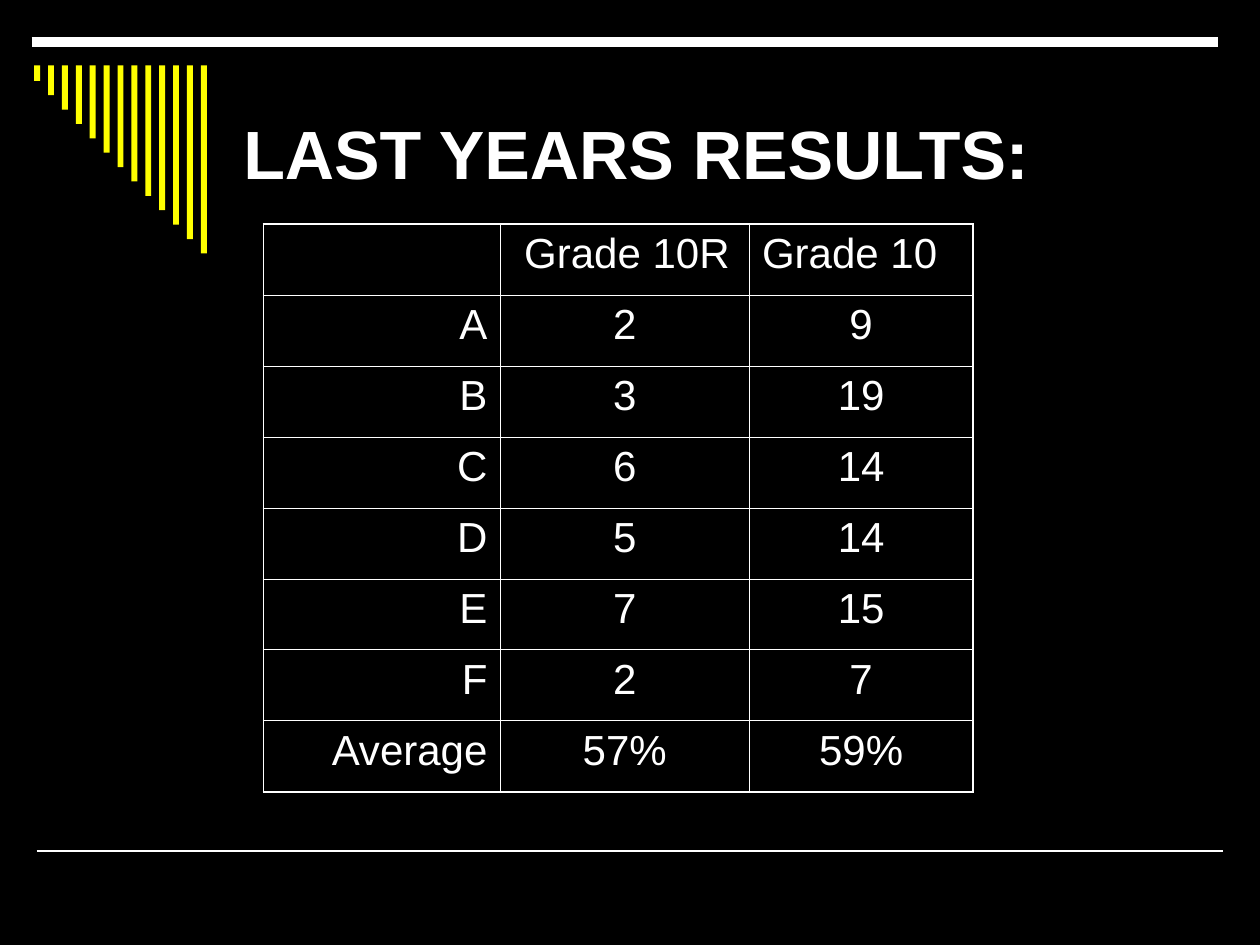
from lxml import etree
from pptx import Presentation
from pptx.dml.color import RGBColor
from pptx.enum.shapes import MSO_CONNECTOR, MSO_SHAPE
from pptx.enum.text import MSO_ANCHOR, MSO_AUTO_SIZE, PP_ALIGN
from pptx.oxml.ns import qn
from pptx.util import Cm, Pt

LINE = MSO_CONNECTOR.STRAIGHT
RECT = MSO_SHAPE.RECTANGLE
MIDDLE = MSO_ANCHOR.MIDDLE
FIXED = MSO_AUTO_SIZE.NONE
LEFT, CENTER, RIGHT = PP_ALIGN.LEFT, PP_ALIGN.CENTER, PP_ALIGN.RIGHT

BLACK, WHITE, YELLOW = "000000", "FFFFFF", "FFFF00"
THIN, THICK = 0.45, 1.08


def color(code):
    return RGBColor.from_string(code)


def style(para, size, align, bold=False):
    para.alignment = align
    for run in para.runs:
        run.font.name = "Arial"
        run.font.size = Pt(size)
        run.font.bold = bold
        run.font.color.rgb = color(WHITE)


prs = Presentation()
prs.slide_width, prs.slide_height = Cm(25.4), Cm(19.05)
slide = prs.slides.add_slide(prs.slide_layouts[5])
slide.background.fill.solid()
slide.background.fill.fore_color.rgb = color(BLACK)

# Rules across the bottom and top: left, right, height, weight
for left, right, y, weight in [(0.74, 24.66, 17.15, 1), (0.64, 24.56, 0.85, 6)]:
    rule = slide.shapes.add_connector(LINE, Cm(left), Cm(y), Cm(right), Cm(y))
    rule.line.color.rgb = color(WHITE)
    rule.line.width = Pt(weight)
    etree.SubElement(rule._element.spPr, qn("a:effectLst"))

# Yellow bars, each longer than the one before
bars = slide.shapes.add_group_shape()
for i in range(13):
    bar = bars.shapes.add_shape(
        RECT, Cm(0.69 + 0.28 * i), Cm(1.32), Cm(0.12), Cm(0.31 + 0.29 * i))
    bar.shadow.inherit = False
    bar.fill.solid()
    bar.fill.fore_color.rgb = color(YELLOW)
    bar.line.fill.background()

title = slide.shapes.title
title.left, title.top = Cm(4.65), Cm(1.27)
title.width, title.height = Cm(19.48), Cm(3.61)
frame = title.text_frame
frame.text = "LAST YEARS RESULTS:"
frame.auto_size = FIXED
frame.vertical_anchor = MIDDLE
style(frame.paragraphs[0], 39, LEFT, bold=True)

# Results table
rows = [
    ("", " Grade 10R", "Grade 10"),
    ("A", "2", "9"),
    ("B", "3", "19"),
    ("C", "6", "14"),
    ("D", "5", "14"),
    ("E", "7", "15"),
    ("F", "2", "7"),
    ("Average", "57%", "59%"),
]
widths = [4.77, 5.03, 4.5]
height = 1.43
last_row, last_col = len(rows) - 1, len(widths) - 1
table = slide.shapes.add_table(
    len(rows), len(widths), Cm(5.31), Cm(4.52),
    Cm(sum(widths)), Cm(height * len(rows))).table
table.first_row = table.horz_banding = False
for col, width in zip(table.columns, widths):
    col.width = Cm(width)

for r, texts in enumerate(rows):
    table.rows[r].height = Cm(height)
    for c, text in enumerate(texts):
        cell = table.cell(r, c)
        cell.text = text
        align = LEFT if r == 0 else RIGHT if c == 0 else CENTER
        style(cell.text_frame.paragraphs[0], 24, align)

        props = cell._tc.get_or_add_tcPr()
        edges = {"L": c == 0, "R": c == last_col, "T": r == 0, "B": r == last_row}
        for side, outer in edges.items():
            weight = Pt(THICK if outer else THIN)
            edge = etree.SubElement(props, qn(f"a:ln{side}"), w=str(weight))
            fill = etree.SubElement(edge, qn("a:solidFill"))
            etree.SubElement(fill, qn("a:srgbClr"), val=WHITE)
        cell.fill.background()

prs.save("out.pptx")
